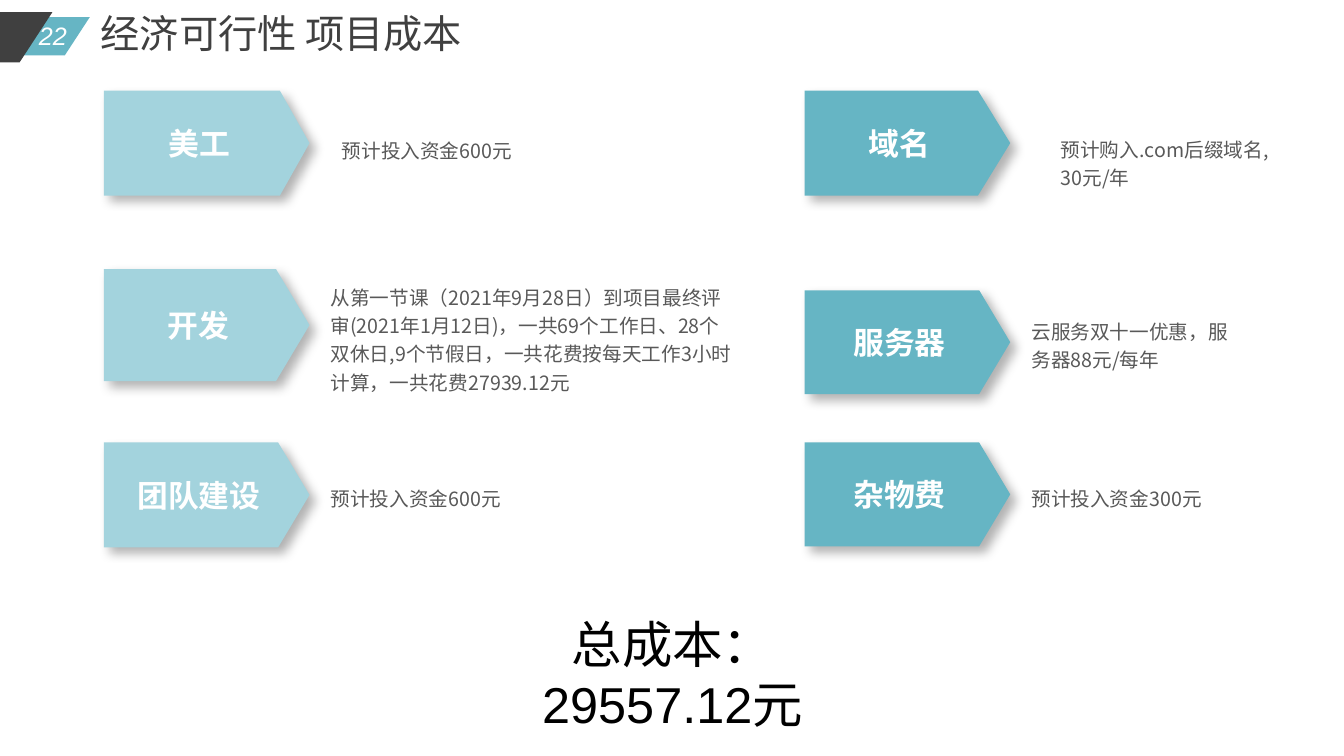
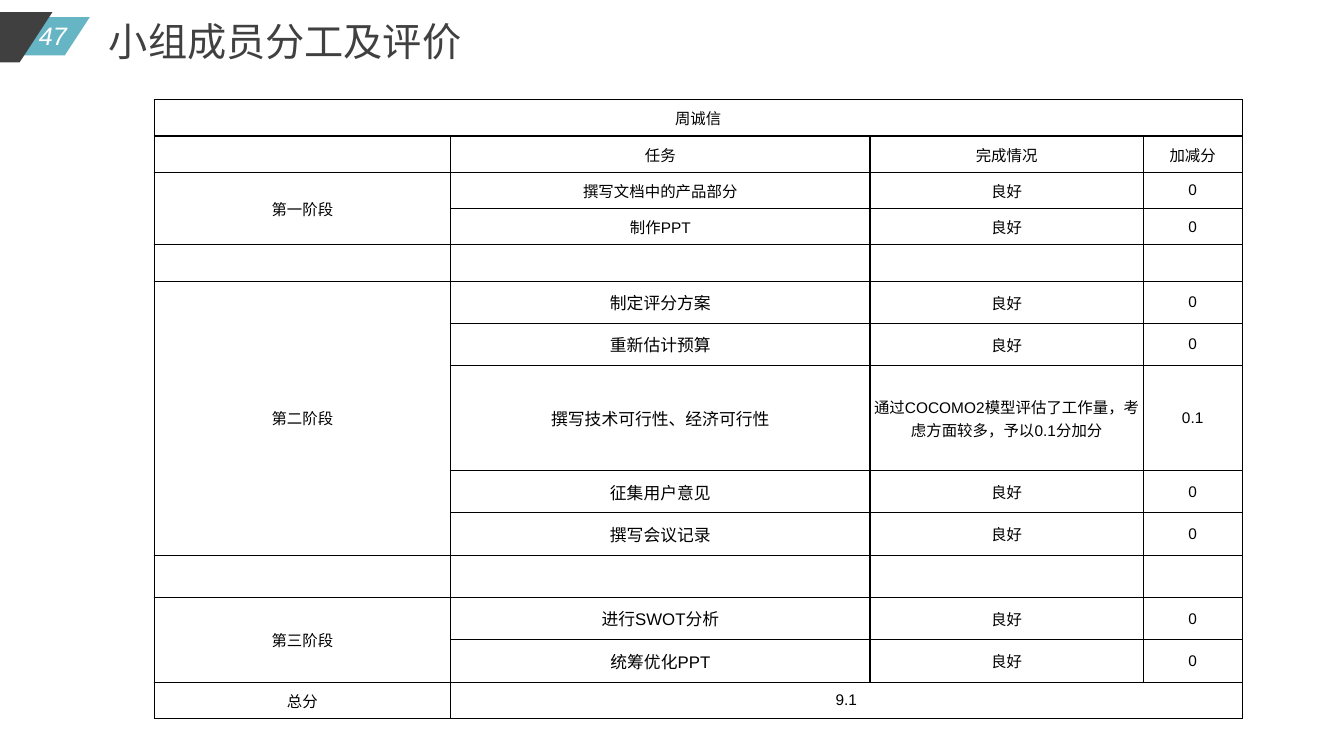
from lxml import etree
from pptx import Presentation
from pptx.dml.color import RGBColor
from pptx.enum.shapes import MSO_SHAPE
from pptx.enum.text import MSO_ANCHOR, MSO_AUTO_SIZE, PP_ALIGN
from pptx.oxml.ns import qn
from pptx.util import Inches, Pt

PARALLELOGRAM, PENTAGON = MSO_SHAPE.PARALLELOGRAM, MSO_SHAPE.PENTAGON
LEFT, CENTER = PP_ALIGN.LEFT, PP_ALIGN.CENTER
TOP, MIDDLE = MSO_ANCHOR.TOP, MSO_ANCHOR.MIDDLE
NO_AUTOFIT = MSO_AUTO_SIZE.NONE

TEAL = RGBColor(0x66, 0xB5, 0xC4)
PALE_TEAL = RGBColor(0xA3, 0xD3, 0xDD)
DARK = RGBColor(0x40, 0x40, 0x40)
GRAY = RGBColor(0x59, 0x59, 0x59)
WHITE = RGBColor(0xFF, 0xFF, 0xFF)
BLACK = RGBColor(0, 0, 0)
LATIN_FONT, HAN_FONT = "Arial", "Noto Sans CJK SC"

# Shared title bands: left, top, width, height, colour
BANDS = [(-1.1, 0.17, 1.99, 0.38, TEAL), (-2.08, 0.12, 2.6, 0.5, DARK)]

# Cost columns: left edge, colour, then per item
# (label, top, height, point depth, note, note left, note top, note width, note height)
PLATE_WIDTH = 2.04
COST_COLUMNS = [
    (1.03, PALE_TEAL, [
        ("美工", 0.9, 1.04, 0.282, "预计投入资金600元", 3.39, 1.33, 2.04, 0.25),
        ("开发", 2.67, 1.11, 0.299,
         "从第一节课（2021年9月28日）到项目最终评审(2021年1月12日)，"
         "一共69个工作日、28个双休日,9个节假日，一共花费按每天工作3小时计算，"
         "一共花费27939.12元", 3.28, 2.79, 4.02, 1.09),
        ("团队建设", 4.39, 1.04, 0.299, "预计投入资金600元", 3.28, 4.78, 2.04, 0.25),
    ]),
    (7.98, TEAL, [
        ("域名", 0.9, 1.04, 0.307, "预计购入.com后缀域名,30元/年",
         10.52, 1.32, 2.04, 0.53),
        ("服务器", 2.88, 1.03, 0.299, "云服务双十一优惠，服务器88元/每年",
         10.23, 3.13, 2.04, 0.53),
        ("杂物费", 4.39, 1.03, 0.299, "预计投入资金300元", 10.23, 4.78, 2.04, 0.25),
    ]),
]
TOTAL_COST = ["总成本：", "29557.12元"]

# Review table
GOOD = "良好"
MEMBER = "周诚信"
HEADINGS = ["", "任务", "完成情况", "加减分"]
PRAISE = "通过COCOMO2模型评估了工作量，考虑方面较多，予以0.1分加分"
# Stage, task text size, tasks, whether a blank row follows
STAGES = [
    ("第一阶段", 11, [("撰写文档中的产品部分", GOOD, "0"), ("制作PPT", GOOD, "0")], True),
    ("第二阶段", 12, [("制定评分方案", GOOD, "0"), ("重新估计预算", GOOD, "0"),
                  ("撰写技术可行性、经济可行性", PRAISE, "0.1"),
                  ("征集用户意见", GOOD, "0"), ("撰写会议记录", GOOD, "0")], True),
    ("第三阶段", 12, [("进行SWOT分析", GOOD, "0"), ("统筹优化PPT", GOOD, "0")], False),
]
SCORE = ["总分", "9.1", "", ""]
COLUMN_WIDTHS = [2.94, 4.16, 2.71, 0.98]
ROW_HEIGHTS = [0.36] * 5 + [0.42] * 2 + [1.04] + [0.42] * 5 + [0.36]


def write(frame, lines, size, color, font=HAN_FONT, align=LEFT,
          bold=False, italic=False, spacing=None):
    """Fill a text frame, one paragraph for each line."""
    for index, line in enumerate(lines):
        para = frame.paragraphs[0] if index == 0 else frame.add_paragraph()
        para.alignment = align
        if spacing:
            para.line_spacing = spacing
        span = para.add_run()
        span.text = line
        span.font.size = Pt(size)
        span.font.name = font
        span.font.bold = bold
        span.font.italic = italic
        span.font.color.rgb = color
        latin = span.font._element.find(qn("a:latin"))
        latin.addnext(latin.makeelement(qn("a:ea"), {"typeface": HAN_FONT}))


def add_text(slide, place, lines, size, color, wrap=True, inset=None, **style):
    frame = slide.shapes.add_textbox(*map(Inches, place)).text_frame
    frame.word_wrap = wrap
    if inset is not None:
        set_margins(frame, inset)
    write(frame, lines, size, color, **style)


def set_margins(target, inset):
    target.margin_left = target.margin_right = Inches(inset)
    target.margin_top = target.margin_bottom = Inches(inset)


def add_solid(slide, kind, place, color, adjustment):
    shape = slide.shapes.add_shape(kind, *map(Inches, place))
    shape.adjustments[0] = adjustment
    shape.fill.solid()
    shape.fill.fore_color.rgb = color
    shape.line.fill.background()
    shape.shadow.inherit = False
    return shape


def add_shadow(shape):
    effects = shape._element.spPr.find(qn("a:effectLst"))
    shadow = etree.SubElement(effects, qn("a:outerShdw"), blurRad=str(Pt(8)),
                              dist=str(Pt(6)), dir=str(45 * 60000),
                              algn="tl", rotWithShape="0")
    color = etree.SubElement(shadow, qn("a:srgbClr"), val=str(BLACK))
    etree.SubElement(color, qn("a:alpha"), val="30000")


def add_page(deck, number, title, place):
    page = deck.slides.add_slide(deck.slide_layouts.get_by_name("Title Only"))
    heading = page.shapes.title
    heading.left, heading.top, heading.width, heading.height = map(Inches, place)
    frame = heading.text_frame
    frame.word_wrap = False
    frame.auto_size = NO_AUTOFIT
    frame.vertical_anchor = TOP
    write(frame, [title], 28, DARK)
    add_text(page, (0.27, 0.15, 0.51, 0.4), [number], 18, WHITE, wrap=False,
             font=LATIN_FONT, align=CENTER, italic=True)
    return page


def move_bands_to_layout(page):
    """Draw the title bands and hand them to the layout both pages use."""
    tree = page.slide_layout.shapes.element
    for position, (*place, color) in enumerate(BANDS):
        band = add_solid(page, PARALLELOGRAM, place, color, 0.652)
        tree.insert(2 + position, band._element)


def add_costs(page):
    for left, color, items in COST_COLUMNS:
        for label, top, height, depth, note, *note_place in items:
            plate = add_solid(page, PENTAGON, (left, top, PLATE_WIDTH, height),
                              color, depth)
            add_shadow(plate)
            plate.text_frame.vertical_anchor = MIDDLE
            write(plate.text_frame, [label], 22, WHITE, align=CENTER, bold=True)
            add_text(page, note_place, [note], 14, GRAY, inset=0, spacing=1.2)
    add_text(page, (4.66, 6.03, 4.02, 1.31), TOTAL_COST, 36, BLACK,
             font=LATIN_FONT, align=CENTER)


def format_cell(cell, text, size):
    cell.vertical_anchor = MIDDLE
    set_margins(cell, 0.01)
    properties = cell._tc.get_or_add_tcPr()
    for side in ("lnL", "lnR", "lnT", "lnB"):
        border = etree.SubElement(properties, qn("a:" + side), w=str(Pt(1)))
        fill = etree.SubElement(border, qn("a:solidFill"))
        etree.SubElement(fill, qn("a:srgbClr"), val=str(BLACK))
    cell.fill.solid()
    cell.fill.fore_color.rgb = WHITE
    if text:
        write(cell.text_frame, [text], size, BLACK, font=LATIN_FONT, align=CENTER)


def add_review(page):
    # Rows with their task size, and merges as (top, left, bottom, right)
    rows = [([MEMBER, "", "", ""], 11), (HEADINGS, 11)]
    merges = [(0, 0, 0, 3)]
    for stage, size, tasks, blank_after in STAGES:
        first = len(rows)
        for index, task in enumerate(tasks):
            rows.append(([stage if index == 0 else "", *task], size))
        merges.append((first, 0, len(rows) - 1, 0))
        if blank_after:
            rows.append(([""] * 4, 11))
    rows.append((SCORE, 11))
    merges.append((len(rows) - 1, 1, len(rows) - 1, 3))

    table = page.shapes.add_table(
        len(rows), len(COLUMN_WIDTHS), Inches(1.53), Inches(0.99),
        Inches(sum(COLUMN_WIDTHS)), Inches(sum(ROW_HEIGHTS))).table
    table.first_row = table.horz_banding = False
    for column, width in zip(table.columns, COLUMN_WIDTHS):
        column.width = Inches(width)
    for row, height, (texts, task_size) in zip(table.rows, ROW_HEIGHTS, rows):
        row.height = Inches(height)
        for index, (cell, text) in enumerate(zip(row.cells, texts)):
            format_cell(cell, text, task_size if index == 1 else 11)
    for top, left, bottom, right in merges:
        table.cell(top, left).merge(table.cell(bottom, right))


def main():
    deck = Presentation()
    deck.slide_width, deck.slide_height = Inches(13.33), Inches(7.5)
    costs = add_page(deck, "22", "经济可行性 项目成本", (0.9, 0.04, 3.83, 0.57))
    move_bands_to_layout(costs)
    add_costs(costs)
    review = add_page(deck, "47", "小组成员分工及评价", (0.98, 0.12, 3.74, 0.57))
    add_review(review)
    deck.save("out.pptx")


if __name__ == "__main__":
    main()
